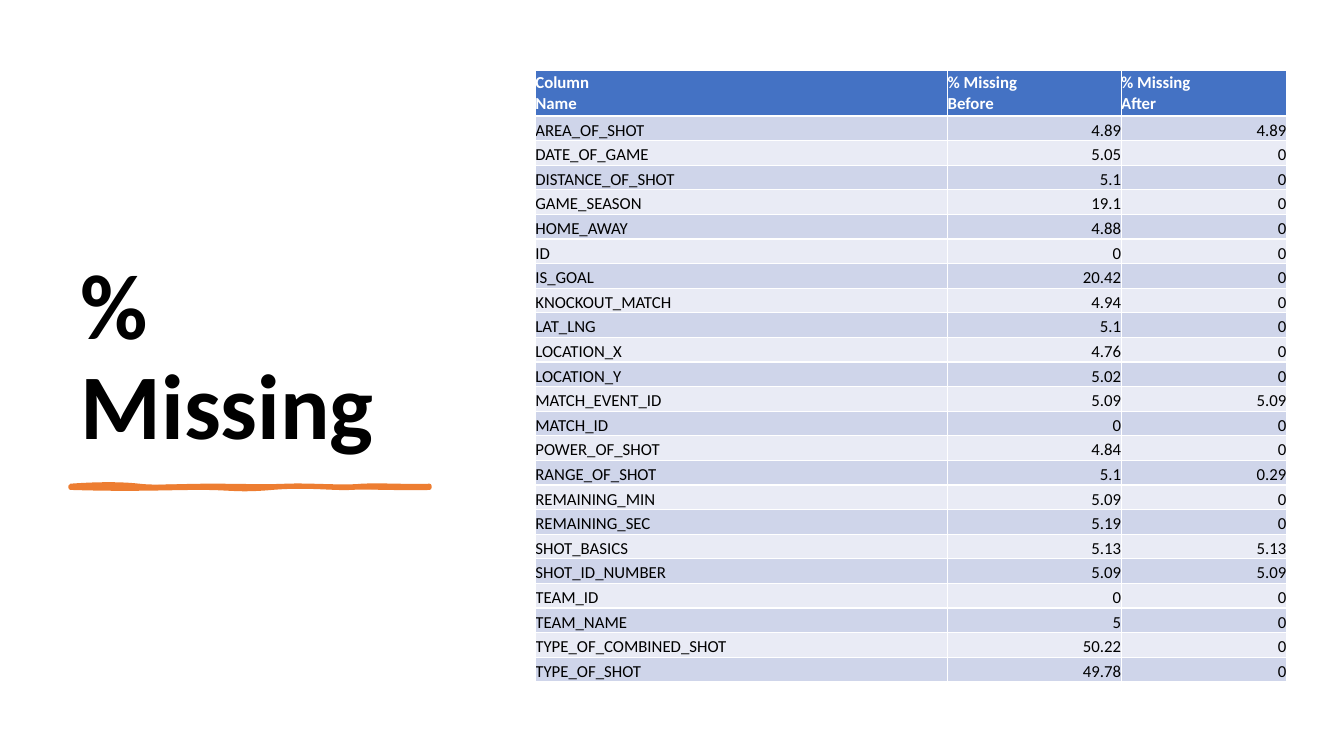
from copy import deepcopy

from lxml.etree import SubElement
from pptx import Presentation
from pptx.dml.color import RGBColor
from pptx.enum.text import MSO_ANCHOR as Anchor, MSO_AUTO_SIZE as AutoSize, PP_ALIGN as Align
from pptx.oxml.ns import qn
from pptx.util import Inches, Pt

FONT = "Calibri"
BLACK = RGBColor(0x00, 0x00, 0x00)
WHITE = RGBColor(0xFF, 0xFF, 0xFF)
ORANGE = RGBColor(0xED, 0x7D, 0x31)
HEADER_BLUE = RGBColor(0x44, 0x72, 0xC4)
BANDS = [RGBColor(0xCF, 0xD5, 0xEA), RGBColor(0xE9, 0xEB, 0xF5)]

HEADINGS = ["Column\vName", "% Missing\vBefore", "% Missing\vAfter"]
MISSING = [
    ("AREA_OF_SHOT", "4.89", "4.89"),
    ("DATE_OF_GAME", "5.05", "0"),
    ("DISTANCE_OF_SHOT", "5.1", "0"),
    ("GAME_SEASON", "19.1", "0"),
    ("HOME_AWAY", "4.88", "0"),
    ("ID", "0", "0"),
    ("IS_GOAL", "20.42", "0"),
    ("KNOCKOUT_MATCH", "4.94", "0"),
    ("LAT_LNG", "5.1", "0"),
    ("LOCATION_X", "4.76", "0"),
    ("LOCATION_Y", "5.02", "0"),
    ("MATCH_EVENT_ID", "5.09", "5.09"),
    ("MATCH_ID", "0", "0"),
    ("POWER_OF_SHOT", "4.84", "0"),
    ("RANGE_OF_SHOT", "5.1", "0.29"),
    ("REMAINING_MIN", "5.09", "0"),
    ("REMAINING_SEC", "5.19", "0"),
    ("SHOT_BASICS", "5.13", "5.13"),
    ("SHOT_ID_NUMBER", "5.09", "5.09"),
    ("TEAM_ID", "0", "0"),
    ("TEAM_NAME", "5", "0"),
    ("TYPE_OF_COMBINED_SHOT", "50.22", "0"),
    ("TYPE_OF_SHOT", "49.78", "0"),
]
COLUMN_WIDTHS = [4.09, 1.72, 1.64]
TABLE_HEIGHT = 6.07
HEADER_HEIGHT = 0.45

STROKE_EDGE = [
    (0.7, 4.82),
    (0.97, 4.8), (1.21, 4.8), (1.38, 4.82),
    (1.55, 4.84), (1.77, 4.82), (2.09, 4.82),
    (2.41, 4.82), (2.6, 4.83), (2.84, 4.82),
    (3.08, 4.81), (3.39, 4.84), (3.59, 4.82),
    (3.79, 4.81), (4.12, 4.83), (4.26, 4.82),
    (4.26, 4.83), (4.26, 4.84), (4.26, 4.84),
    (4.08, 4.85), (3.64, 4.83), (3.48, 4.84),
    (3.32, 4.85), (3.04, 4.81), (2.7, 4.84),
    (2.35, 4.87), (2.31, 4.84), (1.99, 4.84),
    (1.66, 4.84), (1.32, 4.86), (0.7, 4.84),
    (0.7, 4.84), (0.7, 4.83), (0.7, 4.82),
]
STROKE_BODY = [
    (0.7, 4.82),
    (1.02, 4.84), (1.1, 4.83), (1.38, 4.82),
    (1.66, 4.81), (1.69, 4.8), (1.99, 4.82),
    (2.28, 4.84), (2.61, 4.83), (2.77, 4.82),
    (2.93, 4.81), (3.27, 4.85), (3.44, 4.82),
    (3.62, 4.8), (3.97, 4.86), (4.26, 4.82),
    (4.26, 4.83), (4.26, 4.83), (4.26, 4.84),
    (4.12, 4.84), (3.72, 4.87), (3.55, 4.84),
    (3.38, 4.82), (3.09, 4.84), (2.77, 4.84),
    (2.44, 4.84), (2.4, 4.83), (2.16, 4.84),
    (1.93, 4.85), (1.79, 4.83), (1.45, 4.84),
    (1.11, 4.85), (0.92, 4.84), (0.7, 4.84),
    (0.7, 4.83), (0.7, 4.83), (0.7, 4.82),
]


def write_text(frame, text, size, color=BLACK, bold=False, align=Align.LEFT, spacing=1.0):
    frame.text = text
    paragraph = frame.paragraphs[0]
    paragraph.alignment = align
    paragraph.line_spacing = spacing
    for run in paragraph.runs:
        run.font.name = FONT
        run.font.size = Pt(size)
        run.font.bold = bold
        run.font.color.rgb = color
    for line_break in paragraph._p.findall(qn("a:br")):
        SubElement(line_break, qn("a:rPr"), sz=str(size * 100))


def place_title(title):
    title.left, title.top = Inches(0.7), Inches(0.7)
    title.width, title.height = Inches(3.91), Inches(3.91)
    frame = title.text_frame
    frame.word_wrap = True
    frame.auto_size = AutoSize.NONE
    frame.vertical_anchor = Anchor.BOTTOM
    write_text(frame, "% Missing", 66, bold=True, spacing=0.9)


def curve_path(path):
    corners = path.findall(qn("a:lnTo"))
    for first in range(0, len(corners), 3):
        curve = path.makeelement(qn("a:cubicBezTo"))
        corners[first].addprevious(curve)
        for corner in corners[first:first + 3]:
            curve.append(corner[0])
            path.remove(corner)


def add_brush_stroke(shapes):
    edge, body = [[(Inches(x), Inches(y)) for x, y in outline]
                  for outline in (STROKE_EDGE, STROKE_BODY)]
    builder = shapes.build_freeform(*edge[0])
    builder.add_line_segments(edge[1:], close=True)
    builder.move_to(*body[0])
    builder.add_line_segments(body[1:], close=True)
    stroke = builder.convert_to_shape()
    stroke.shadow.inherit = False
    stroke.fill.solid()
    stroke.fill.fore_color.rgb = ORANGE
    stroke.line.color.rgb = ORANGE
    stroke.line.width = Pt(3)

    edge_path = next(stroke._element.iter(qn("a:path")))
    body_path = deepcopy(edge_path)
    edge_path.addnext(body_path)
    split = len(edge) + 1
    for part in edge_path[split:]:
        edge_path.remove(part)
    for part in body_path[:split]:
        body_path.remove(part)
    edge_path.set("fill", "none")
    body_path.set("stroke", "0")
    curve_path(edge_path)
    curve_path(body_path)


def fill_cell(cell, text, fill, anchor, **text_format):
    cell.margin_left = cell.margin_right = cell.margin_top = cell.margin_bottom = 0
    cell.vertical_anchor = anchor
    cell.fill.solid()
    cell.fill.fore_color.rgb = fill
    write_text(cell.text_frame, text, 12, **text_format)


def add_missing_table(shapes):
    table = shapes.add_table(len(MISSING) + 1, len(HEADINGS), Inches(5.31), Inches(0.7),
                             Inches(sum(COLUMN_WIDTHS)), Inches(TABLE_HEIGHT)).table
    for column, width in zip(table.columns, COLUMN_WIDTHS):
        column.width = Inches(width)
    for row in table.rows:
        row.height = Inches((TABLE_HEIGHT - HEADER_HEIGHT) / len(MISSING))
    table.rows[0].height = Inches(HEADER_HEIGHT)

    for column, heading in enumerate(HEADINGS):
        fill_cell(table.cell(0, column), heading, HEADER_BLUE, Anchor.MIDDLE,
                  color=WHITE, bold=True)
    for row, record in enumerate(MISSING, start=1):
        for column, value in enumerate(record):
            fill_cell(table.cell(row, column), value, BANDS[(row - 1) % 2], Anchor.BOTTOM,
                      align=Align.RIGHT if column else Align.LEFT)


def main():
    deck = Presentation()
    deck.slide_width, deck.slide_height = Inches(13.33), Inches(7.5)
    slide = deck.slides.add_slide(deck.slide_layouts[5])
    place_title(slide.shapes.title)
    add_brush_stroke(slide.shapes)
    add_missing_table(slide.shapes)
    deck.save("out.pptx")


if __name__ == "__main__":
    main()
